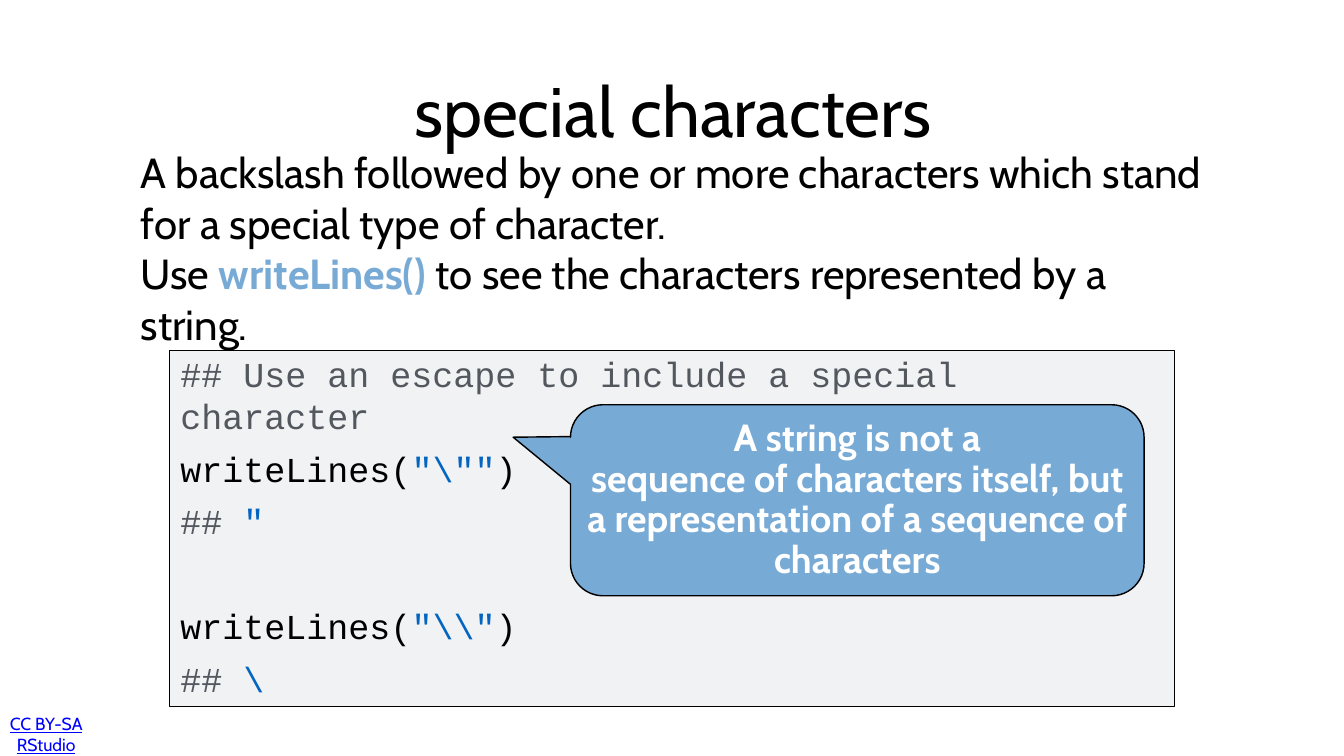
from pptx import Presentation
from pptx.dml.color import RGBColor
from pptx.enum.shapes import MSO_SHAPE
from pptx.enum.text import MSO_ANCHOR, PP_ALIGN
from pptx.util import Pt

RECT, CALLOUT = MSO_SHAPE.RECTANGLE, MSO_SHAPE.ROUNDED_RECTANGULAR_CALLOUT
TOP, MIDDLE = MSO_ANCHOR.TOP, MSO_ANCHOR.MIDDLE
LEFT, CENTER = PP_ALIGN.LEFT, PP_ALIGN.CENTER

COLORS = {
    "black": "000000", "white": "FFFFFF", "link": "0000FF", "accent": "78AAD6",
    "panel": "F0F2F4", "comment": "53585F", "string": "0365C0",
}
BODY_FONT, CODE_FONT = "Cabin", "Courier New"


def rgb(name):
    return RGBColor.from_string(COLORS[name])


class SlideBuilder:
    def __init__(self, slide):
        self.slide = slide

    def fill_text(self, s, paragraphs, size, font=BODY_FONT, color="black", align=LEFT,
                  anchor=MIDDLE, inset=4.32, bold=None, underline=None):
        """Fill s with paragraphs, each a list of (text, color, bold) runs or a plain string."""
        tf = s.text_frame
        tf.word_wrap = True
        tf.vertical_anchor = anchor
        tf.margin_left = tf.margin_right = tf.margin_top = tf.margin_bottom = Pt(inset)
        for i, runs in enumerate(paragraphs):
            p = tf.paragraphs[0] if i == 0 else tf.add_paragraph()
            p.alignment = align
            p.font.size, p.font.name = Pt(size), font
            p.font.color.rgb = rgb(color)
            p.font.bold, p.font.underline = bold, underline
            if isinstance(runs, str):
                p.add_run().text = runs
                continue
            for text, run_color, run_bold in runs:
                r = p.add_run()
                r.text = text
                r.font.color.rgb = rgb(run_color)
                r.font.bold = run_bold
        return tf

    def text(self, box, paragraphs, size, **style):
        s = self.slide.shapes.add_textbox(*map(Pt, box))
        return self.fill_text(s, paragraphs, size, **style)

    def shape(self, kind, box, fill, line_width):
        s = self.slide.shapes.add_shape(kind, *map(Pt, box))
        s.shadow.inherit = False
        s.fill.solid()
        s.fill.fore_color.rgb = rgb(fill)
        s.line.color.rgb = rgb("black")
        s.line.width = Pt(line_width)
        return s

    def code(self, box, lines):
        """Add (gap before, runs) lines, the runs being (text, color) pairs."""
        paragraphs = [[(text, color, False) for text, color in runs] for _, runs in lines]
        tf = self.text(box, paragraphs, 50, font=CODE_FONT, anchor=TOP)
        for p, (gap, _) in zip(tf.paragraphs, lines):
            if gap:
                p.space_before = Pt(gap)

    def callout(self, box, adjustments, paragraphs):
        s = self.shape(CALLOUT, box, "accent", 2)
        for i, value in enumerate(adjustments):
            s.adjustments[i] = value
        tf = self.fill_text(s, paragraphs, 54, color="white", align=CENTER, inset=5.76, bold=True)
        for p in tf.paragraphs:
            p.line_spacing = 0.9


def call(string):
    return [("writeLines(", "black"), (string, "string"), (")", "black")]


def output(string):
    return [("## ", "comment"), (string, "string")]


def main():
    prs = Presentation()
    prs.slide_width, prs.slide_height = Pt(1920), Pt(1080)
    b = SlideBuilder(prs.slides.add_slide(prs.slide_layouts[6]))

    b.text((6, 1026.7, 120, 43.2), ["CC BY-SA RStudio"], 25, color="link",
           align=CENTER, inset=5.76, underline=True)
    b.text((196.6, 229, 1534.3, 249.8), [
        "A backslash followed by one or more characters which stand "
        "for a special type of character.",
        [("Use ", "black", False), ("writeLines()", "accent", True),
         (" to see the characters represented by a string.", "black", False)],
    ], 60)

    b.shape(RECT, (241.9, 500.4, 1435.7, 508.3), "panel", 1)
    line_gap, block_gap = 15, 90
    b.code((253.4, 499.7, 1419.8, 509.8), [
        (0, [("## Use an escape to include a special character", "comment")]),
        (line_gap, call(r'"\""')),
        (line_gap, output('"')),
        (block_gap, call(r'"\\"')),
        (line_gap, output("\\")),
    ])

    b.text((316.8, 62.6, 1288.8, 188.6), ["special characters"], 100, align=CENTER)
    b.callout((815, 578.2, 819.4, 272.9), (-0.6, -0.33, 0.17), [
        "A string is not a",
        "sequence of characters itself, but a representation of a sequence of characters",
    ])
    prs.save("out.pptx")


if __name__ == "__main__":
    main()
